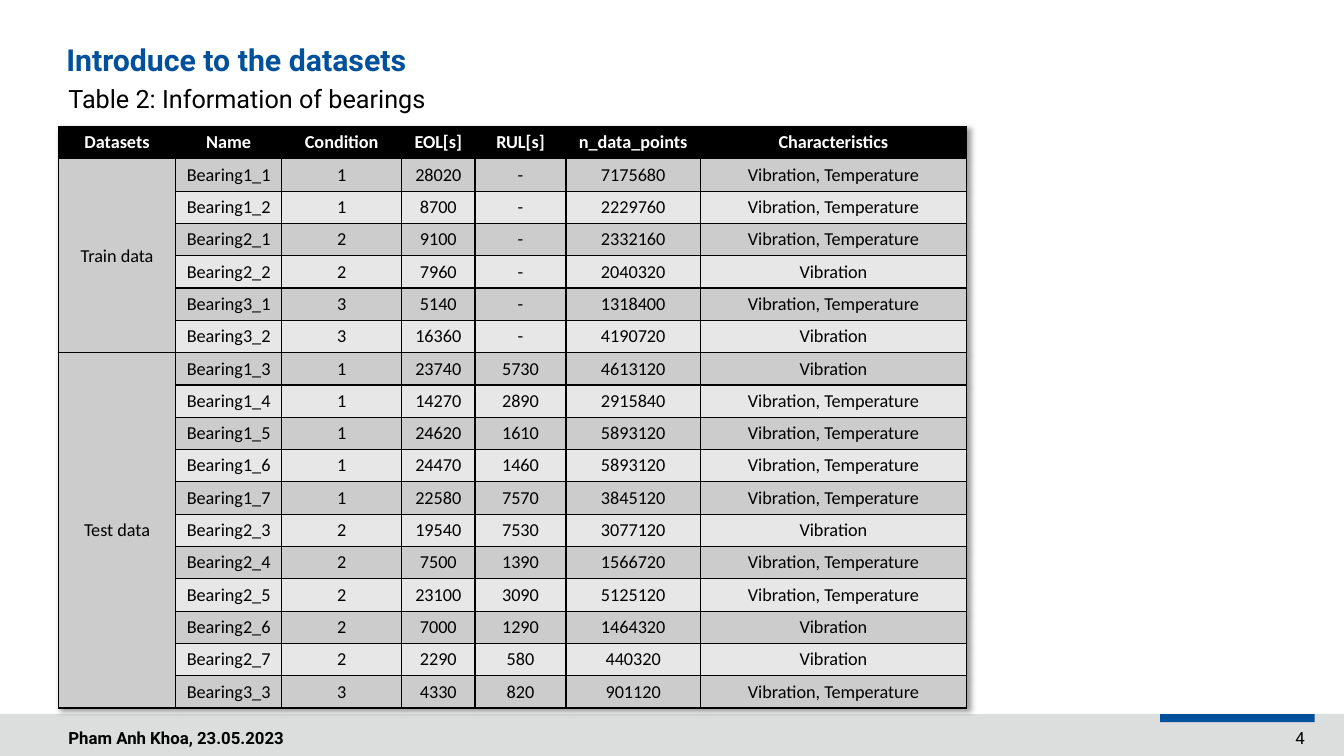
from lxml import etree
from pptx import Presentation
from pptx.dml.color import RGBColor
from pptx.enum.shapes import MSO_SHAPE
from pptx.enum.text import MSO_ANCHOR, PP_ALIGN
from pptx.oxml.ns import qn
from pptx.util import Pt

RECTANGLE = MSO_SHAPE.RECTANGLE
TOP, MIDDLE, BOTTOM = MSO_ANCHOR.TOP, MSO_ANCHOR.MIDDLE, MSO_ANCHOR.BOTTOM
LEFT, CENTER, RIGHT = PP_ALIGN.LEFT, PP_ALIGN.CENTER, PP_ALIGN.RIGHT

BLACK, WHITE, BLUE = "000000", "FFFFFF", "00509B"
FOOTER_GRAY, DARK_BAND, LIGHT_BAND = "DCDEDE", "CCCCCC", "E7E7E7"
SLIDE_WIDTH, SLIDE_HEIGHT = 960, 540
MARGIN = 41.8
ROW_HEIGHT = 23.1
COLUMN_WIDTHS = [83.5, 76, 85.5, 52.5, 65, 96, 190]

HEADERS = ["Datasets", "Name", "Condition", "EOL[s]", "RUL[s]", "n_data_points", "Characteristics"]
VIBRATION = "Vibration"
BOTH = "Vibration, Temperature"
GROUPS = {
    "Train data": [
        ("Bearing1_1", 1, 28020, "-", 7175680, BOTH),
        ("Bearing1_2", 1, 8700, "-", 2229760, BOTH),
        ("Bearing2_1", 2, 9100, "-", 2332160, BOTH),
        ("Bearing2_2", 2, 7960, "-", 2040320, VIBRATION),
        ("Bearing3_1", 3, 5140, "-", 1318400, BOTH),
        ("Bearing3_2", 3, 16360, "-", 4190720, VIBRATION),
    ],
    "Test data": [
        ("Bearing1_3", 1, 23740, 5730, 4613120, VIBRATION),
        ("Bearing1_4", 1, 14270, 2890, 2915840, BOTH),
        ("Bearing1_5", 1, 24620, 1610, 5893120, BOTH),
        ("Bearing1_6", 1, 24470, 1460, 5893120, BOTH),
        ("Bearing1_7", 1, 22580, 7570, 3845120, BOTH),
        ("Bearing2_3", 2, 19540, 7530, 3077120, VIBRATION),
        ("Bearing2_4", 2, 7500, 1390, 1566720, BOTH),
        ("Bearing2_5", 2, 23100, 3090, 5125120, BOTH),
        ("Bearing2_6", 2, 7000, 1290, 1464320, VIBRATION),
        ("Bearing2_7", 2, 2290, 580, 440320, VIBRATION),
        ("Bearing3_3", 3, 4330, 820, 901120, BOTH),
    ],
}


def color(value):
    """Turn a hex string into a colour."""
    return RGBColor.from_string(value)


def style_paragraph(paragraph, size, name, hex_color, bold, alignment):
    """Align a paragraph and format its runs."""
    paragraph.alignment = alignment
    for run in paragraph.runs:
        run.font.size = Pt(size)
        run.font.name = name
        run.font.bold = bold
        run.font.color.rgb = color(hex_color)


def add_text(slide, box, text, size, hex_color=BLACK, bold=False, alignment=LEFT, anchor=TOP):
    """Place one line of Roboto text in a box and return its frame."""
    shape = slide.shapes.add_textbox(*map(Pt, box))
    text_frame = shape.text_frame
    text_frame.word_wrap = True
    text_frame.vertical_anchor = anchor
    text_frame.text = text
    style_paragraph(text_frame.paragraphs[0], size, "Roboto", hex_color, bold, alignment)
    return text_frame


def add_bar(slide, box, fill):
    """Draw a plain filled rectangle."""
    shape = slide.shapes.add_shape(RECTANGLE, *map(Pt, box))
    shape.shadow.inherit = False
    shape.fill.solid()
    shape.fill.fore_color.rgb = color(fill)
    shape.line.fill.background()


def add_footer(slide, left, top, width, height):
    """Draw the footer band with author, accent and page number."""
    add_bar(slide, (left, top, width, height), FOOTER_GRAY)
    right = left + width - 21
    add_bar(slide, (right - 110.3, top, 110.3, 5.8), BLUE)
    text_top, text_height = top + 6.3, 23.7
    add_text(slide, (right - 140.4, text_top, 140.4, text_height), "4", 12, alignment=RIGHT)
    add_text(slide, (left + MARGIN, text_top, 525.6, text_height),
             "Pham Anh Khoa, 23.05.2023", 12, bold=True)


def add_heading(slide, left, top, width):
    """Place the slide title and the table caption below it."""
    title = add_text(slide, (left, top, width, 23.8), "Introduce to the datasets", 21.6,
                     BLUE, True, anchor=BOTTOM)
    title.margin_left = Pt(5.6)
    title.margin_bottom = 0
    title.paragraphs[0].line_spacing = 0.9
    add_text(slide, (left, top + 24.5, 525.6, 29), "Table 2: Information of bearings", 18)


def add_borders(cell):
    """Give a cell thin black borders on all sides."""
    properties = cell._tc.get_or_add_tcPr()
    for position, side in enumerate(("a:lnL", "a:lnR", "a:lnT", "a:lnB")):
        line = etree.Element(qn(side), w=str(Pt(1)))
        fill = etree.SubElement(line, qn("a:solidFill"))
        etree.SubElement(fill, qn("a:srgbClr"), val=BLACK)
        properties.insert(position, line)


def style_cell(cell, text, fill, hex_color=BLACK, bold=False):
    """Fill a cell with centred text."""
    cell.text_frame.text = str(text)
    cell.vertical_anchor = MIDDLE
    cell.fill.solid()
    cell.fill.fore_color.rgb = color(fill)
    style_paragraph(cell.text_frame.paragraphs[0], 13, "Calibri", hex_color, bold, CENTER)


def add_table_shadow(table):
    """Cast a soft shadow to the lower right of a table."""
    effects = etree.Element(qn("a:effectLst"))
    shadow = etree.SubElement(effects, qn("a:outerShdw"), blurRad=str(Pt(4)), dist=str(Pt(3)),
                              dir="2700000", algn="tl", rotWithShape="0")
    shade = etree.SubElement(shadow, qn("a:srgbClr"), val=BLACK)
    etree.SubElement(shade, qn("a:alpha"), val="40000")
    table._tbl.tblPr.insert(0, effects)


def add_bearing_table(slide, left, top):
    """Build the bearing table with one merged cell per dataset."""
    row_count = 1 + sum(len(rows) for rows in GROUPS.values())
    frame = slide.shapes.add_table(row_count, len(HEADERS), Pt(left), Pt(top),
                                   Pt(sum(COLUMN_WIDTHS)), Pt(ROW_HEIGHT * row_count))
    table = frame.table
    table.first_row = table.horz_banding = False
    add_table_shadow(table)
    for column, width in zip(table.columns, COLUMN_WIDTHS):
        column.width = Pt(width)
    for row in table.rows:
        row.height = Pt(ROW_HEIGHT)
    for column, header in enumerate(HEADERS):
        style_cell(table.cell(0, column), header, BLACK, WHITE, True)
    row = 1
    for dataset, bearings in GROUPS.items():
        dataset_cell = table.cell(row, 0)
        dataset_cell.merge(table.cell(row + len(bearings) - 1, 0))
        style_cell(dataset_cell, dataset, DARK_BAND)
        for bearing in bearings:
            fill = DARK_BAND if row % 2 else LIGHT_BAND
            for column, value in enumerate(bearing, 1):
                style_cell(table.cell(row, column), value, fill)
            row += 1
    for cell in table.iter_cells():
        add_borders(cell)


def main():
    """Build the dataset slide and save it."""
    presentation = Presentation()
    presentation.slide_width = Pt(SLIDE_WIDTH)
    presentation.slide_height = Pt(SLIDE_HEIGHT)
    slide = presentation.slides.add_slide(presentation.slide_layouts[6])
    add_footer(slide, 0, 510, SLIDE_WIDTH, 30)
    add_heading(slide, MARGIN, 31.7, 851.8)
    add_bearing_table(slide, MARGIN, 90.4)
    presentation.save("out.pptx")


if __name__ == "__main__":
    main()
